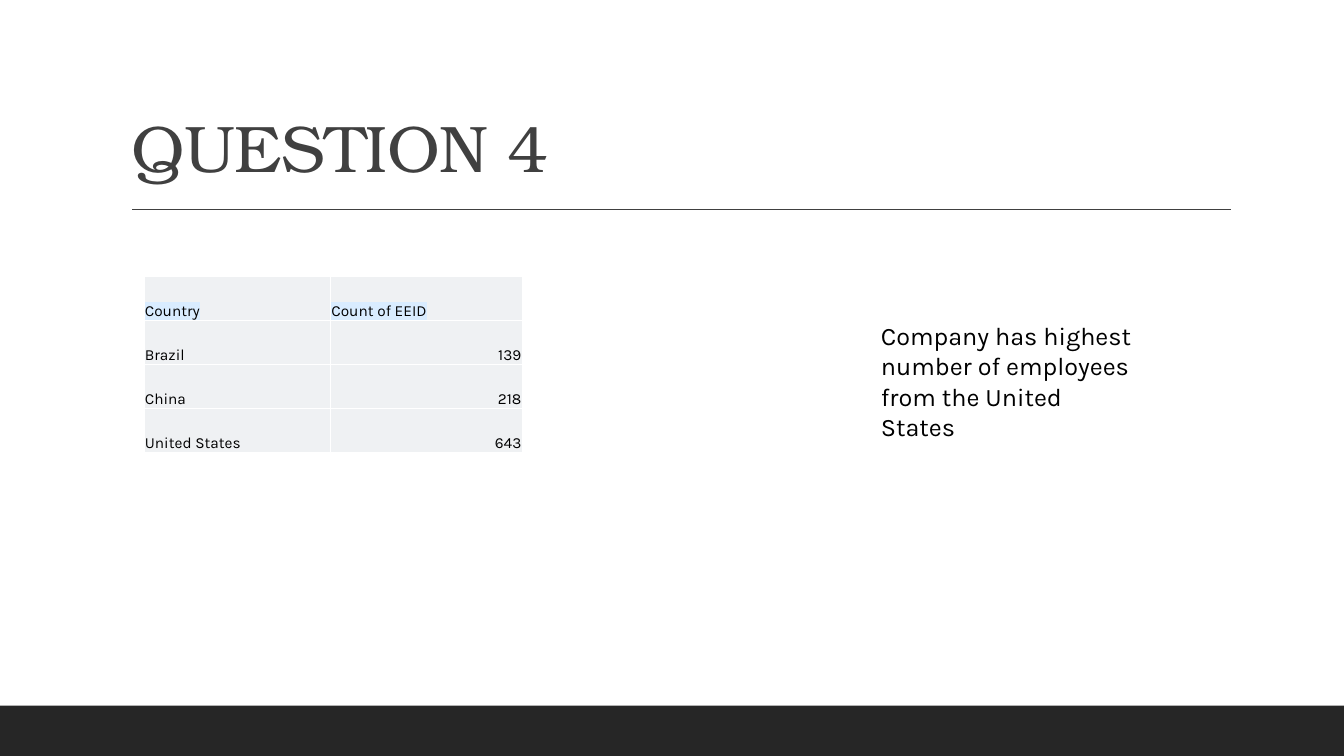
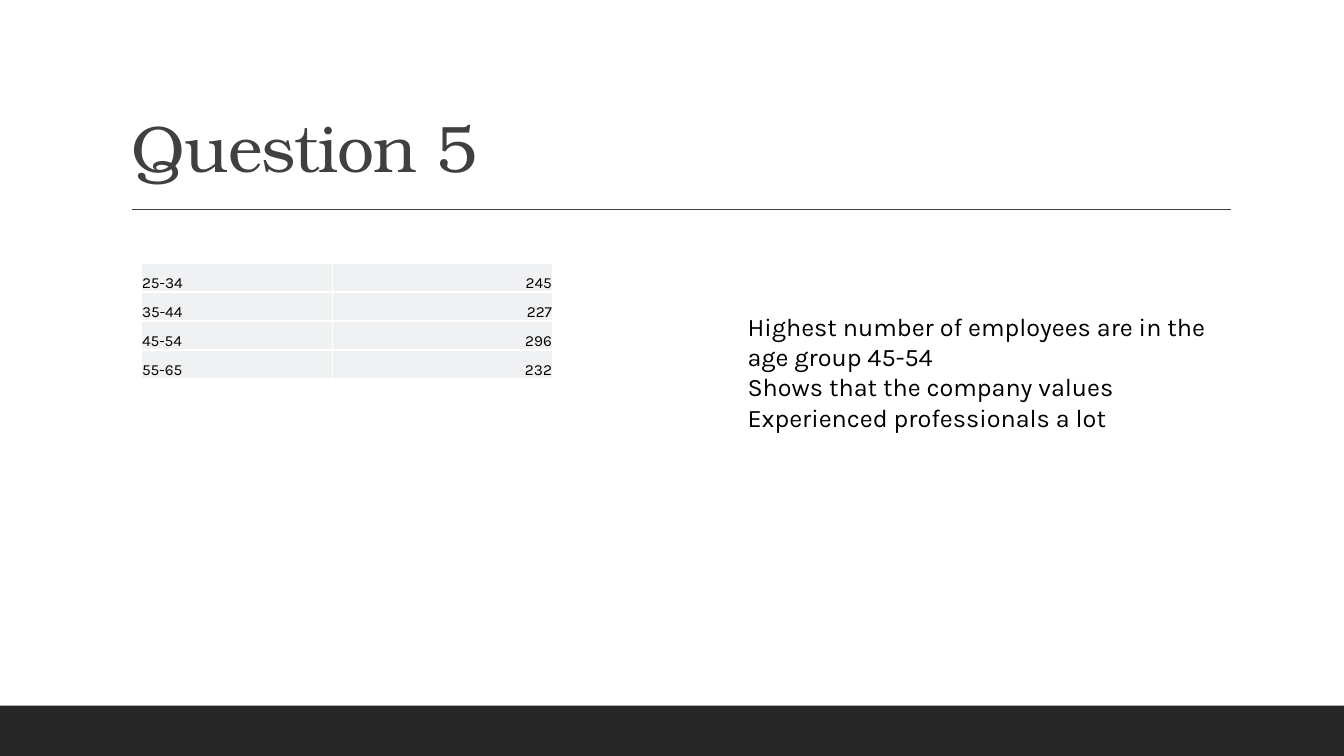
import pptx
import pptx.dml.color
import pptx.enum.shapes
import pptx.enum.text
import pptx.oxml
import pptx.oxml.ns
import pptx.util
import lxml.etree

Cm = pptx.util.Cm
Pt = pptx.util.Pt
qn = pptx.oxml.ns.qn
ANCHOR = pptx.enum.text.MSO_ANCHOR
ALIGN = pptx.enum.text.PP_ALIGN
AUTO_SIZE = pptx.enum.text.MSO_AUTO_SIZE

TITLE_FONT = "TeX Gyre Bonum"
BODY_FONT = "Karla"
BAND = "262626"
DARK = "404040"
BLACK = "000000"
WHITE = "FFFFFF"
CELL_FILL = "EFF1F3"
HIGHLIGHT = "D9ECFF"


def color(value):
    return pptx.dml.color.RGBColor.from_string(value)


def format_text(text_frame, font_name, size, font_color):
    for paragraph in text_frame.paragraphs:
        for run in paragraph.runs:
            run.font.name = font_name
            run.font.size = Pt(size)
            run.font.color.rgb = color(font_color)


questions = [
    {
        "title": "QUESTION 4",
        "rows": [("Country", "Count of EEID"), ("Brazil", "139"), ("China", "218"), ("United States", "643")],
        "has_header": True,
        "table_position": (3.63, 6.96),
        "column_widths": (4.7, 4.83),
        "row_height": 1.11,
        "finding": "Company has highest number of employees from the United States",
        "finding_box": (21.95, 7.95, 7.04, 2.57),
    },
    {
        "title": "Question 5",
        "rows": [("25-34", "245"), ("35-44", "227"), ("45-54", "296"), ("55-65", "232")],
        "has_header": False,
        "table_position": (3.56, 6.63),
        "column_widths": (4.82, 5.55),
        "row_height": 0.73,
        "finding": "Highest number of employees are in the age group 45-54\n"
                   "Shows that the company values\n"
                   "Experienced professionals a lot",
        "finding_box": (18.59, 7.72, 12.6, 3.33),
    },
]

presentation = pptx.Presentation()
presentation.slide_width = Cm(33.87)
presentation.slide_height = Cm(19.05)
title_only = presentation.slide_layouts.get_by_name("Title Only")

for question in questions:
    slide = presentation.slides.add_slide(title_only)

    band = slide.shapes.add_shape(
        pptx.enum.shapes.MSO_SHAPE.RECTANGLE, 0, Cm(17.78), presentation.slide_width, Cm(1.27))
    band.shadow.inherit = False
    band.fill.solid()
    band.fill.fore_color.rgb = color(BAND)
    band.line.fill.background()

    rule = slide.shapes.add_connector(
        pptx.enum.shapes.MSO_CONNECTOR.STRAIGHT, Cm(3.33), Cm(5.28), Cm(31.01), Cm(5.28))
    rule.line.color.rgb = color(DARK)
    rule.line.width = Pt(1)
    lxml.etree.SubElement(rule.element.spPr, qn("a:effectLst"))

    title = slide.shapes.title
    title.left, title.top, title.width, title.height = Cm(3.05), Cm(0.79), Cm(27.94), Cm(4.04)
    title.text_frame.text = question["title"]
    title.text_frame.auto_size = AUTO_SIZE.NONE
    title.text_frame.vertical_anchor = ANCHOR.BOTTOM
    format_text(title.text_frame, TITLE_FONT, 47, DARK)
    paragraph = title.text_frame.paragraphs[0]
    paragraph.alignment = ALIGN.LEFT
    paragraph.line_spacing = 0.9
    paragraph.runs[0].font.element.set("spc", "-50") if hasattr(paragraph.runs[0].font, "element") else \
        paragraph.runs[0]._r.get_or_add_rPr().set("spc", "-50")

    rows = question["rows"]
    widths = question["column_widths"]
    left, top = question["table_position"]
    table = slide.shapes.add_table(
        len(rows), len(widths), Cm(left), Cm(top),
        Cm(sum(widths)), Cm(question["row_height"] * len(rows))).table
    table.first_row = False
    table.horz_banding = False
    for column, width in zip(table.columns, widths):
        column.width = Cm(width)

    for row_index, values in enumerate(rows):
        table.rows[row_index].height = Cm(question["row_height"])
        is_header = question["has_header"] and row_index == 0
        for column_index, value in enumerate(values):
            cell = table.cell(row_index, column_index)
            cell.text_frame.text = value
            cell.vertical_anchor = ANCHOR.BOTTOM
            cell.margin_left = cell.margin_right = cell.margin_top = Cm(0.02)
            cell.margin_bottom = 0
            cell.fill.solid()
            cell.fill.fore_color.rgb = color(CELL_FILL)
            format_text(cell.text_frame, BODY_FONT, 11, BLACK)
            paragraph = cell.text_frame.paragraphs[0]
            if column_index == 1 and not is_header:
                paragraph.alignment = ALIGN.RIGHT
            if is_header:
                highlight = lxml.etree.Element(qn("a:highlight"))
                lxml.etree.SubElement(highlight, qn("a:srgbClr"), val=HIGHLIGHT)
                paragraph.runs[0]._r.rPr.find(qn("a:latin")).addprevious(highlight)
            cell_properties = cell._tc.get_or_add_tcPr()
            for position, side in enumerate(("a:lnL", "a:lnR", "a:lnT", "a:lnB")):
                border = lxml.etree.Element(qn(side), w=str(Pt(1)))
                border_fill = lxml.etree.SubElement(border, qn("a:solidFill"))
                lxml.etree.SubElement(border_fill, qn("a:srgbClr"), val=WHITE)
                cell_properties.insert(position, border)

    finding = slide.shapes.add_textbox(*(Cm(length) for length in question["finding_box"]))
    finding.text_frame.word_wrap = True
    finding.text_frame.auto_size = AUTO_SIZE.SHAPE_TO_FIT_TEXT
    finding.text_frame.text = question["finding"]
    format_text(finding.text_frame, BODY_FONT, 18, BLACK)

presentation.save("out.pptx")
